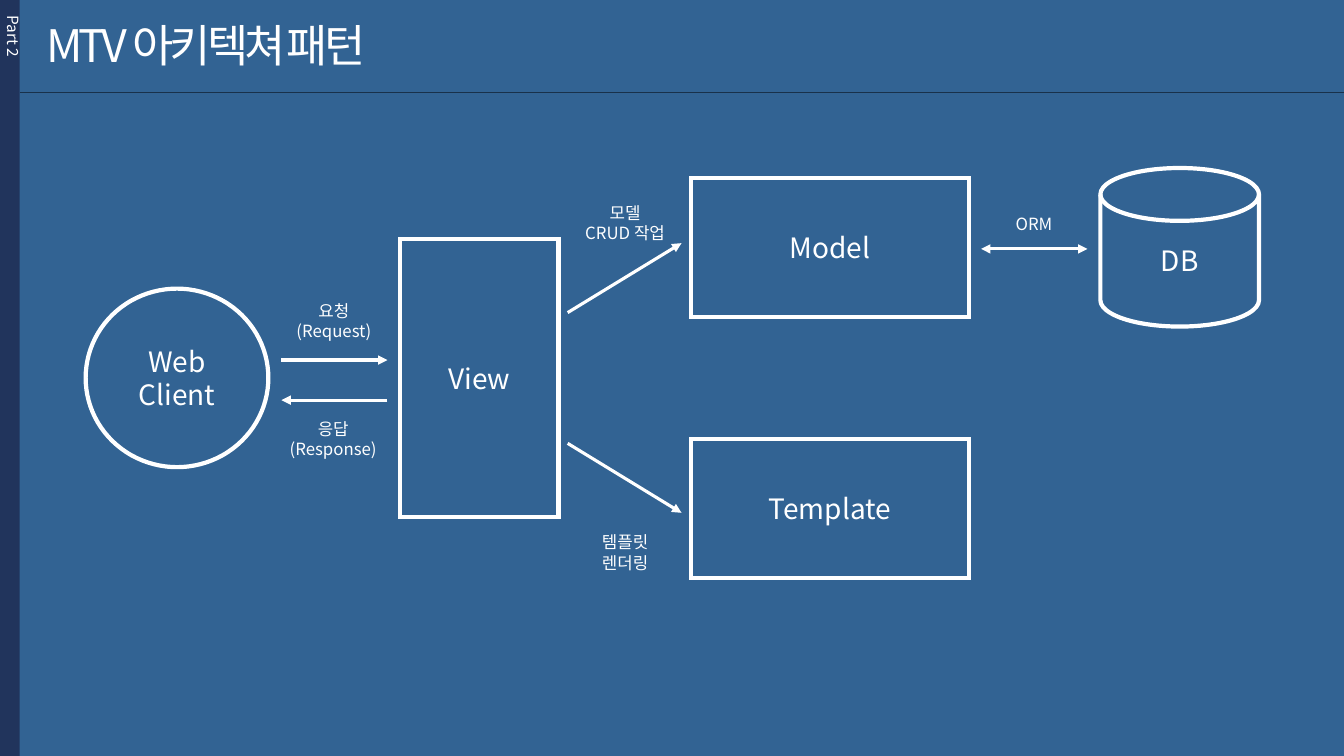
from lxml import etree
from pptx import Presentation
from pptx.dml.color import RGBColor
from pptx.enum import shapes, text
from pptx.oxml import ns
from pptx.util import Pt

FONT = "Noto Sans CJK KR"
WHITE = "FFFFFF"
NAVY = "21345C"
BLUE = "326393"
RULE = "19314A"


def color(value):
    return RGBColor.from_string(value)


def place(shape, left, top, width, height):
    shape.left, shape.top = Pt(left), Pt(top)
    shape.width, shape.height = Pt(width), Pt(height)


def write(shape, words, size=12, align=text.PP_ALIGN.CENTER, spacing=None,
          anchor=text.MSO_ANCHOR.TOP, wrap=False, grow=True):
    """Fill a shape with one paragraph per line of words."""
    frame = shape.text_frame
    frame.text = words
    frame.word_wrap = wrap
    frame.vertical_anchor = anchor
    frame.auto_size = (text.MSO_AUTO_SIZE.SHAPE_TO_FIT_TEXT if grow
                       else text.MSO_AUTO_SIZE.NONE)
    for para in frame.paragraphs:
        para.alignment = align
        for span in para.runs:
            span.font.size = Pt(size)
            span.font.color.rgb = color(WHITE)
            span.font.name = FONT
            properties = span.font._element
            etree.SubElement(properties, ns.qn("a:ea"), typeface=FONT)
            if spacing is not None:
                properties.set("spc", str(spacing * 100))


def add_label(page, words, left, top, width, height, **style):
    box = page.shapes.add_textbox(Pt(left), Pt(top), Pt(width), Pt(height))
    write(box, words, **style)
    return box


def add_node(page, kind, words, left, top, width, height):
    """Add an outlined component of the diagram."""
    node = page.shapes.add_shape(kind, Pt(left), Pt(top), Pt(width), Pt(height))
    node.shadow.inherit = False
    node.fill.background()
    node.line.color.rgb = color(WHITE)
    node.line.width = Pt(3)
    etree.SubElement(node.line._get_or_add_ln(), ns.qn("a:miter"), lim="800000")
    write(node, words, size=20, anchor=text.MSO_ANCHOR.MIDDLE,
          wrap=True, grow=False)


def add_line(page, start, end, stroke=WHITE, weight=2.25, heads=()):
    """Add a line; heads lists the ends that carry a triangle."""
    line = page.shapes.add_connector(
        shapes.MSO_CONNECTOR.STRAIGHT, *map(Pt, start + end))
    line.line.color.rgb = color(stroke)
    line.line.width = Pt(weight)
    outline = line.line._get_or_add_ln()
    for head in heads:
        etree.SubElement(outline, ns.qn("a:" + head), type="triangle")
    etree.SubElement(line._element.spPr, ns.qn("a:effectLst"))


def add_frame(page):
    """Add the background, side band, rule, title and part label."""
    page.background.fill.solid()
    page.background.fill.fore_color.rgb = color(BLUE)
    add_line(page, (14, 66), (960, 66), stroke=RULE, weight=0.5)

    band = page.shapes.add_shape(
        shapes.MSO_SHAPE.RECTANGLE, 0, 0, Pt(14), Pt(540))
    band.shadow.inherit = False
    band.fill.solid()
    band.fill.fore_color.rgb = color(NAVY)
    band.line.fill.background()

    title = page.shapes.title
    place(title, 26, 9, 260.6, 46)
    write(title, "MTV 아키텍쳐 패턴", size=32, spacing=-3,
          align=text.PP_ALIGN.LEFT)

    part = add_label(page, "Part 2", -7.9, 4.3, 28, 145.4, size=11,
                     align=text.PP_ALIGN.LEFT, wrap=True)
    part.text_frame._txBody.bodyPr.set("vert", "eaVert")


def main():
    deck = Presentation()
    deck.slide_width, deck.slide_height = Pt(960), Pt(540)
    page = deck.slides.add_slide(deck.slide_layouts[5])
    add_frame(page)

    kinds = shapes.MSO_SHAPE
    for node in (
        (kinds.OVAL, "Web Client", 61.2, 206.2, 130.5, 127.5),
        (kinds.RECTANGLE, "View", 286, 170.7, 113, 198.5),
        (kinds.RECTANGLE, "Model", 493.5, 127.3, 198.5, 99.3),
        (kinds.RECTANGLE, "Template", 493.5, 313.7, 198.5, 99.3),
        (kinds.FLOWCHART_MAGNETIC_DISK, "DB", 786, 120, 113.3, 113.3),
    ):
        add_node(page, *node)

    for start, end in (
        ((201, 257.2), (276.8, 257.2)),
        ((276.8, 285.8), (201, 285.8)),
        ((405.5, 223.3), (486.8, 173.7)),
        ((405.5, 316.7), (486.8, 366.3)),
    ):
        add_line(page, start, end, heads=("tailEnd",))
    add_line(page, (700.8, 177.8), (776.8, 177.8),
             heads=("headEnd", "tailEnd"))

    for label in (
        ("응답\n(Response)", 193, 295.4, 90, 36),
        ("요청\n(Request)", 199, 211.4, 79, 36),
        ("모델\nCRUD 작업", 402, 141.4, 89, 36),
        ("템플릿\n렌더링", 416.5, 376.6, 60, 36),
        ("ORM", 712.6, 149, 52, 21.8),
    ):
        add_label(page, *label)

    deck.save("out.pptx")


if __name__ == "__main__":
    main()
